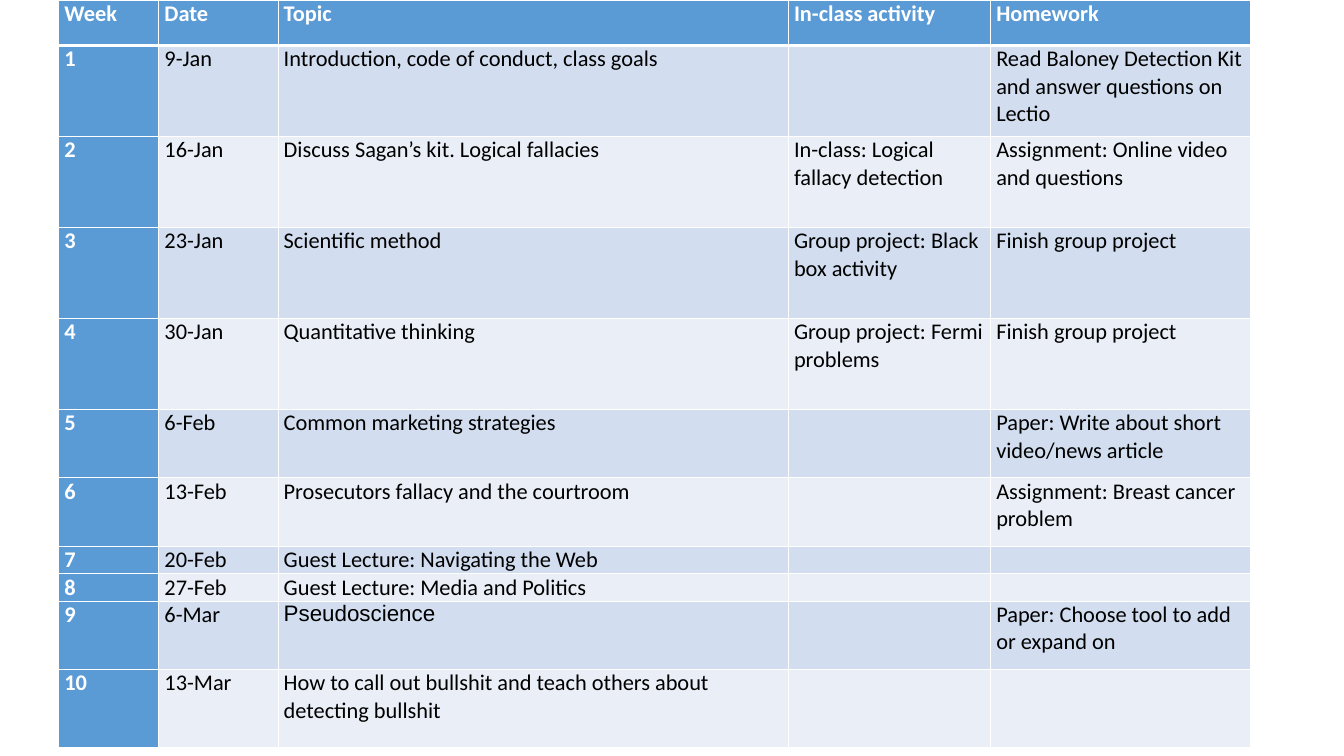
"""Build a one-slide course schedule with weekly topics, activities and homework."""
from dataclasses import dataclass

from lxml import etree
from pptx import Presentation
from pptx.dml.color import RGBColor
from pptx.oxml.ns import qn
from pptx.table import _Cell
from pptx.util import Pt

BLANK_LAYOUT = 6


@dataclass(frozen=True)
class Theme:
    """Colours, fonts and sizes used on the slide."""

    accent: str = "5B9BD5"
    bands: tuple[str, str] = ("D2DEEF", "EAEFF7")
    light: str = "FFFFFF"
    dark: str = "000000"
    font: str = "Calibri"
    alternate_font: str = "Arial"
    text_size: float = 16
    side_margin: float = 4
    thin_line: float = 1
    thick_line: float = 3


@dataclass(frozen=True)
class Week:
    """One row of the schedule."""

    height: float
    date: str
    topic: str
    activity: str = ""
    homework: str = ""
    topic_font: str = ""


THEME = Theme()
PAGE_SIZE = (960, 540)
TABLE_LEFT, TABLE_TOP, TABLE_HEIGHT = 42, 0, 535
COLUMN_WIDTHS = (71.5, 85.2, 364.5, 144.5, 185.8)
HEADER_HEIGHT = 32.4
HEADINGS = ("Week", "Date", "Topic", "In-class activity", "Homework")
TOPIC_COLUMN = HEADINGS.index("Topic")
TALL, MEDIUM, SHORT, LAST = 65, 48.9, 16.3, 56
WEEKS = (
    Week(TALL, "9-Jan", "Introduction, code of conduct, class goals",
         homework="Read Baloney Detection Kit and answer questions on Lectio"),
    Week(TALL, "16-Jan", "Discuss Sagan’s kit. Logical fallacies",
         "In-class: Logical fallacy detection", "Assignment: Online video and questions"),
    Week(TALL, "23-Jan", "Scientific method",
         "Group project: Black box activity", "Finish group project"),
    Week(TALL, "30-Jan", "Quantitative thinking",
         "Group project: Fermi problems", "Finish group project"),
    Week(MEDIUM, "6-Feb", "Common marketing strategies",
         homework="Paper: Write about short video/news article"),
    Week(MEDIUM, "13-Feb", "Prosecutors fallacy and the courtroom",
         homework="Assignment: Breast cancer problem"),
    Week(SHORT, "20-Feb", "Guest Lecture: Navigating the Web"),
    Week(SHORT, "27-Feb", "Guest Lecture: Media and Politics"),
    Week(MEDIUM, "6-Mar", "Pseudoscience",
         homework="Paper: Choose tool to add or expand on", topic_font=THEME.alternate_font),
    Week(LAST, "13-Mar", "How to call out bullshit and teach others about detecting bullshit"),
)


def add_borders(cell: _Cell, top: float, bottom: float) -> None:
    """Give a cell light borders with the stated top and bottom widths."""
    properties = cell._tc.get_or_add_tcPr()
    widths = {"lnL": THEME.thin_line, "lnR": THEME.thin_line, "lnT": top, "lnB": bottom}
    for tag, width in widths.items():
        line = etree.SubElement(properties, qn(f"a:{tag}"), w=str(Pt(width)))
        fill = etree.SubElement(line, qn("a:solidFill"))
        etree.SubElement(fill, qn("a:srgbClr"), val=THEME.light)


def write_cell(cell: _Cell, text: str, row: int, column: int, font: str) -> None:
    """Fill and format a cell according to its place in the schedule."""
    is_heading = row == 0 or column == 0
    add_borders(cell,
                THEME.thick_line if row == 1 else THEME.thin_line,
                THEME.thick_line if row == 0 else THEME.thin_line)
    cell.fill.solid()
    cell.fill.fore_color.rgb = RGBColor.from_string(
        THEME.accent if is_heading else THEME.bands[(row - 1) % 2])
    cell.margin_left = cell.margin_right = Pt(THEME.side_margin)
    cell.margin_top = cell.margin_bottom = 0
    cell.text = text
    para = cell.text_frame.paragraphs[0]
    para.font.name = font
    para.font.size = Pt(THEME.text_size)
    para.font.bold = is_heading
    para.font.color.rgb = RGBColor.from_string(THEME.light if is_heading else THEME.dark)
    if not text:
        etree.SubElement(para._p, qn("a:endParaRPr"), sz=str(int(THEME.text_size * 100)))


def main() -> None:
    """Create the deck, draw the schedule and save it."""
    deck = Presentation()
    deck.slide_width, deck.slide_height = map(Pt, PAGE_SIZE)
    page = deck.slides.add_slide(deck.slide_layouts[BLANK_LAYOUT])
    frame = page.shapes.add_table(
        len(WEEKS) + 1, len(HEADINGS), Pt(TABLE_LEFT), Pt(TABLE_TOP),
        Pt(sum(COLUMN_WIDTHS)), Pt(TABLE_HEIGHT))
    schedule = frame.table
    schedule.first_col = True
    for column, width in zip(schedule.columns, COLUMN_WIDTHS):
        column.width = Pt(width)
    heights = (HEADER_HEIGHT, *(week.height for week in WEEKS))
    for table_row, height in zip(schedule.rows, heights):
        table_row.height = Pt(height)
    frame.height = Pt(TABLE_HEIGHT)

    for column, heading in enumerate(HEADINGS):
        write_cell(schedule.cell(0, column), heading, 0, column, THEME.font)
    for row, week in enumerate(WEEKS, start=1):
        texts = (str(row), week.date, week.topic, week.activity, week.homework)
        for column, text in enumerate(texts):
            font = week.topic_font if column == TOPIC_COLUMN and week.topic_font else THEME.font
            write_cell(schedule.cell(row, column), text, row, column, font)
    deck.save("out.pptx")


if __name__ == "__main__":
    main()
